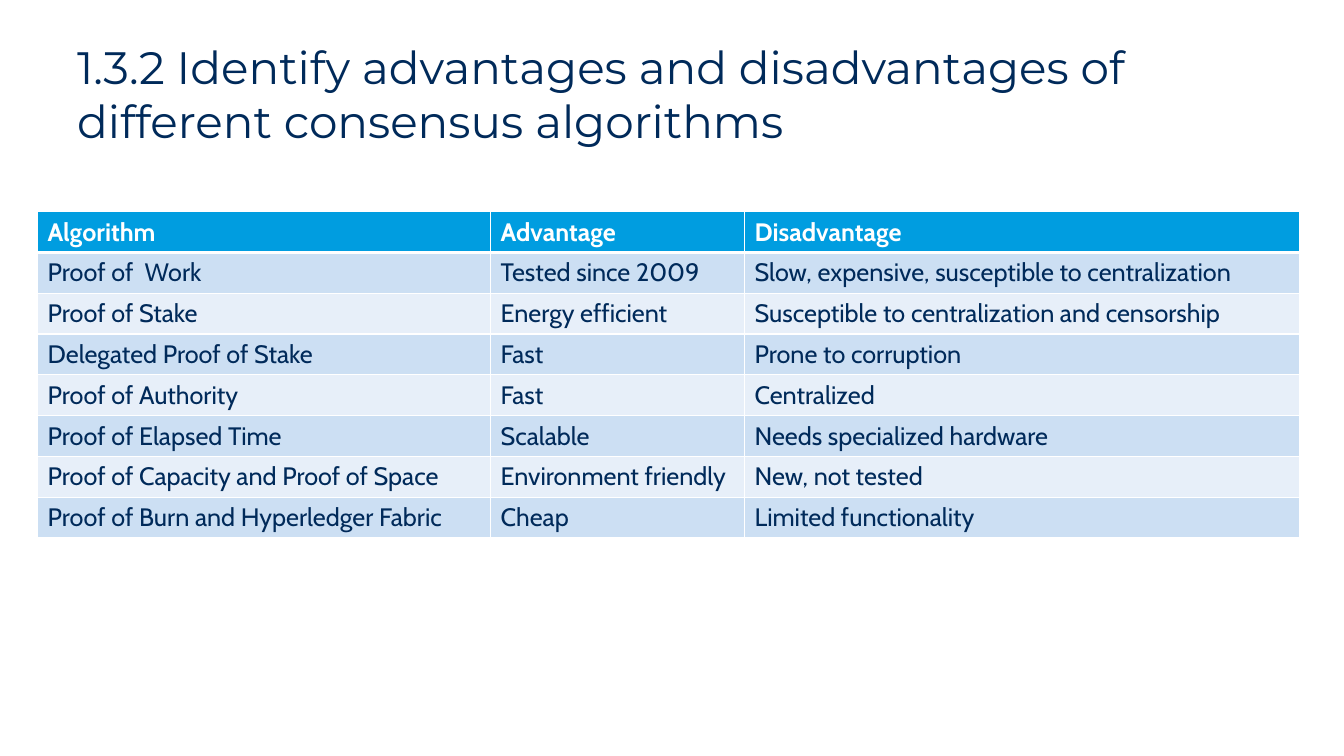
from lxml.etree import SubElement as Sub
from pptx import Presentation
from pptx.dml.color import RGBColor as Rgb
from pptx.enum.text import MSO_ANCHOR as Anchor
from pptx.oxml.ns import qn
from pptx.util import Inches, Pt

COLORS = {"navy": "002A5A", "white": "FFFFFF", "head": "009DE0",
          "odd": "CCDFF3", "even": "E7EFF9"}

TITLE = ("1.3.2 Identify advantages and disadvantages of "
         "different consensus algorithms")

ROWS = [
    ("Algorithm", "Advantage", "Disadvantage"),
    ("Proof of  Work", "Tested since 2009",
     "Slow, expensive, susceptible to centralization"),
    ("Proof of Stake", "Energy efficient",
     "Susceptible to centralization and censorship"),
    ("Delegated Proof of Stake", "Fast", "Prone to corruption"),
    ("Proof of Authority", "Fast", "Centralized"),
    ("Proof of Elapsed Time", "Scalable", "Needs specialized hardware"),
    ("Proof of Capacity and Proof of Space", "Environment friendly",
     "New, not tested"),
    ("Proof of Burn and Hyperledger Fabric", "Cheap",
     "Limited functionality"),
]


class Deck:
    """Holds the style and the current slide; lengths are percent of its size."""

    def __init__(self):
        self.prs = Presentation()
        self.prs.slide_width = Inches(13.33)
        self.prs.slide_height = Inches(7.5)
        self.slide = self.prs.slides.add_slide(self.prs.slide_layouts[6])

    def across(self, share):
        return round(self.prs.slide_width * share / 100)

    def down(self, share):
        return round(self.prs.slide_height * share / 100)

    def add_text(self, frame, text, face, size, color, bold=False):
        run = frame.paragraphs[0].add_run()
        run.text = text
        font = run.font
        font.name, font.size, font.bold = face, Pt(size), bold
        font.color.rgb = Rgb.from_string(COLORS[color])

    def title(self, text, left, top, width, height):
        box = self.slide.shapes.add_textbox(
            self.across(left), self.down(top),
            self.across(width), self.down(height))
        frame = box.text_frame
        frame.word_wrap = True
        frame.vertical_anchor = Anchor.MIDDLE
        self.add_text(frame, text, "Montserrat", 32.4, "navy")

    def edge(self, cell, side, width):
        line = Sub(cell._tc.get_or_add_tcPr(), qn(f"a:ln{side}"),
                   w=str(Pt(width)))
        fill = Sub(line, qn("a:solidFill"))
        Sub(fill, qn("a:srgbClr"), val=COLORS["white"])

    def table(self, rows, left, top, widths, height):
        grid = self.slide.shapes.add_table(
            len(rows), len(widths), self.across(left), self.down(top),
            self.across(sum(widths)), self.down(height * len(rows))).table
        for col, width in zip(grid.columns, widths):
            col.width = self.across(width)
        for r, texts in enumerate(rows):
            grid.rows[r].height = self.down(height)
            head = r == 0
            fill = "head" if head else ("even", "odd")[r % 2]
            for c, text in enumerate(texts):
                cell = grid.cell(r, c)
                for side in "LRTB":
                    thick = (r, side) in ((0, "B"), (1, "T"))
                    self.edge(cell, side, 3 if thick else 1)
                cell.fill.solid()
                cell.fill.fore_color.rgb = Rgb.from_string(COLORS[fill])
                self.add_text(cell.text_frame, text, "Cabin", 18,
                              "white" if head else "navy", head)


def main():
    deck = Deck()
    deck.title(TITLE, 5, 4, 90, 16.67)
    deck.table(ROWS, 2.8, 28, (33.7, 18.9, 41.3), 5.4)
    deck.prs.save("out.pptx")


if __name__ == "__main__":
    main()
